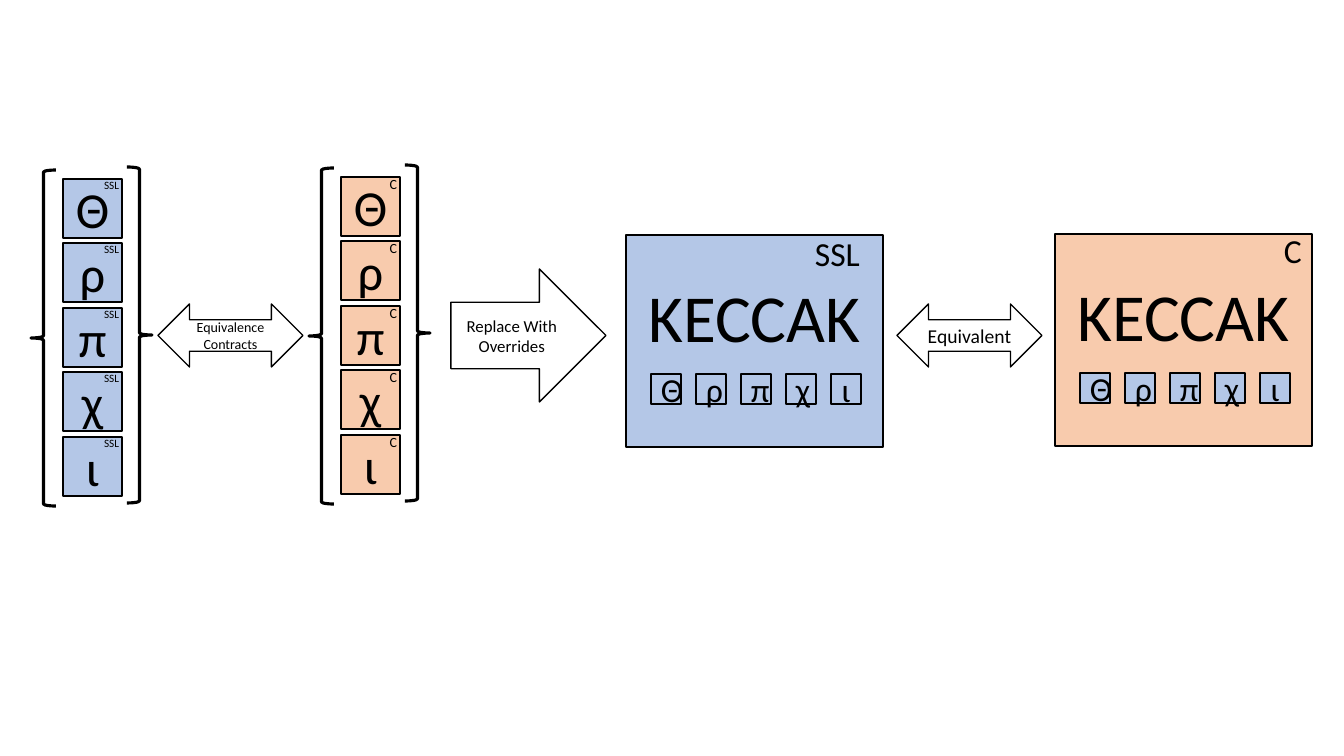
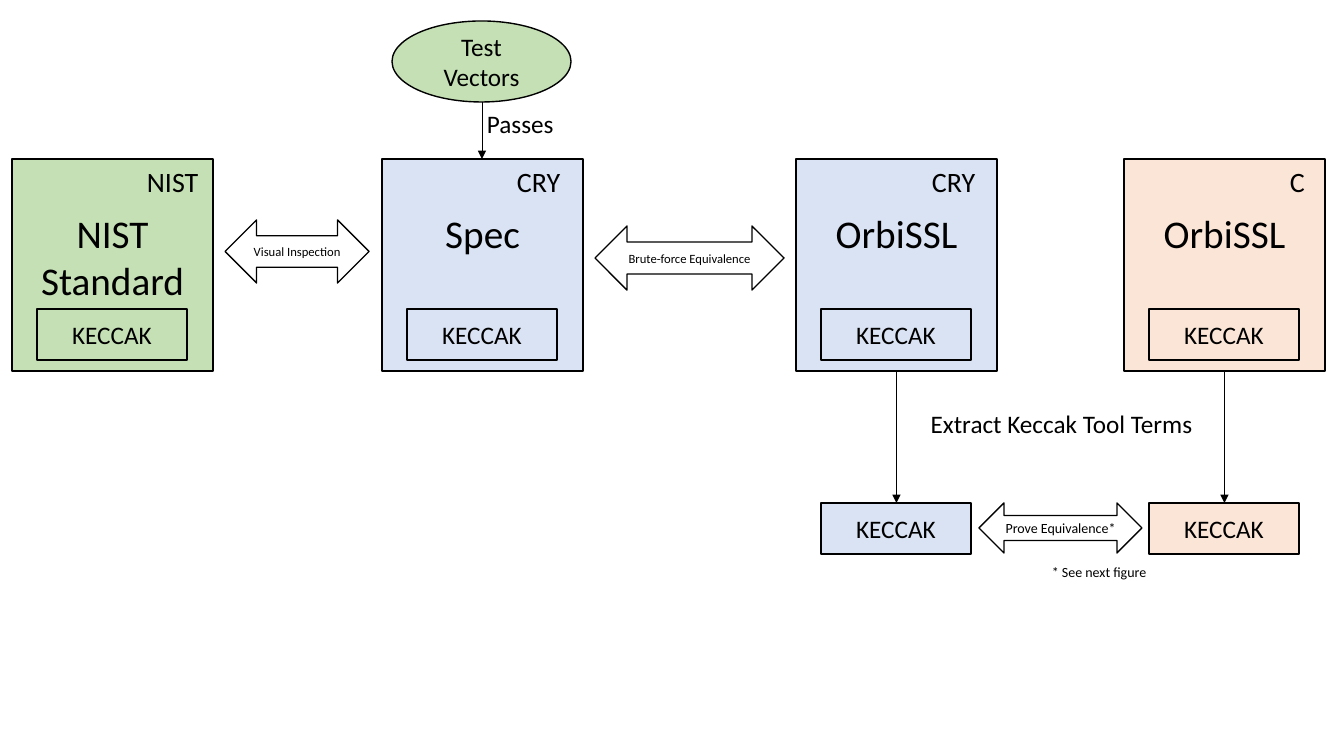
from dataclasses import dataclass

from lxml import etree
from pptx import Presentation
from pptx import util as u
from pptx.dml.color import RGBColor
from pptx.enum import shapes, text
from pptx.oxml import ns

GLYPHS = ["Θ", "ρ", "π", "χ", "ι"]

COLUMNS = [
    dict(left=63, top=179, fill="blue", tag="SSL", tag_size="tiny"),
    dict(left=341, top=177, fill="orange", tag="C", tag_size="small"),
]
KECCAK_CARDS = [
    dict(left=626, top=235, fill="blue", tag="SSL", tag_offset=(179, -7)),
    dict(left=1055, top=234, fill="orange", tag="C", tag_offset=(219, -9)),
]
OVERRIDE_ARROWS = [
    ("LEFT_RIGHT_ARROW", (158, 304, 145, 63), "Equivalence Contracts", "small"),
    ("RIGHT_ARROW", (451, 269, 155, 133), "Replace With Overrides", "note"),
    ("LEFT_RIGHT_ARROW", (897, 304, 145, 63), "Equivalent", "arrow"),
]

SYSTEM_CARDS = [
    dict(left=12, fill="green", name="NIST Standard", tag="NIST", tag_offset=125),
    dict(left=382, fill="pale_blue", name="Spec", tag="CRY", tag_offset=125),
    dict(left=796, fill="pale_blue", name="OrbiSSL", tag="CRY", tag_offset=126),
    dict(left=1124, fill="pale_orange", name="OrbiSSL", tag="C", tag_offset=156),
]
PROOF_ARROWS = [
    ("LEFT_RIGHT_ARROW", (225, 220, 144, 63), "Visual Inspection", "fine"),
    ("LEFT_RIGHT_ARROW", (595, 226, 189, 64), "Brute-force Equivalence", "fine"),
    ("LEFT_RIGHT_ARROW", (979, 503, 163, 50), "Prove Equivalence*", "small"),
]
PROOF_LABELS = [
    ("Passes", (477, 103, 119, 40), "body", dict(align="LEFT")),
    ("Extract Keccak Tool Terms", (917, 403, 289, 40), "body", dict(align="CENTER")),
    ("* See next figure", (1042, 543, 127, 58), "small", dict(anchor="MIDDLE")),
]


@dataclass(frozen=True)
class Theme:
    font: str
    colors: dict
    sizes: dict
    widths: dict


THEME = Theme(
    font="Calibri",
    colors=dict(
        ink="000000", white="FFFFFF", blue="B4C7E7", orange="F8CBAD",
        green="C5E0B4", pale_blue="DAE3F3", pale_orange="FBE5D6",
    ),
    sizes=dict(
        tiny=8, fine=9, small=10, note=12, arrow=14, body=18,
        tag=20, large_tag=24, name=28, glyph=36, headline=48,
    ),
    widths=dict(connector=0.5, outline=1, brace=2.25),
)

SLIDE_SIZE = (1344, 756)
EMU_PER_PIXEL = 914400 / 100.8

TILE = 59
COLUMN_SPAN = 258
BRACE_SIZE = (25, 336)
KECCAK_SIZE = (257, 212)
MINI_TILE = 30
MINI_PITCH = 45
SYSTEM_TOP = 159
SYSTEM_SIZE = (201, 212)
BOX_INSET = 25
BOX_SIZE = (150, 51)
TERM_TOP = 503


def px(value):
    return u.Emu(round(value * EMU_PER_PIXEL))


def rgb(name):
    return RGBColor.from_string(THEME.colors[name])


def apply(target, values):
    for name, value in values.items():
        setattr(target, name, value)


def write(shape, content, size, align="LEFT", anchor="TOP", inset_top=5):
    frame = shape.text_frame
    apply(frame, dict(
        text=content,
        word_wrap=True,
        vertical_anchor=text.MSO_ANCHOR[anchor],
        margin_top=px(inset_top),
    ))
    paragraph = frame.paragraphs[0]
    paragraph.alignment = text.PP_ALIGN[align]
    font = paragraph.runs[0].font
    apply(font, dict(name=THEME.font, size=u.Pt(THEME.sizes[size])))
    font.color.rgb = rgb("ink")


def add_label(slide, content, box, size, **layout):
    write(slide.shapes.add_textbox(*map(px, box)), content, size, **layout)


def add_figure(slide, kind, box, fill=None, width="outline"):
    shape = slide.shapes.add_shape(shapes.MSO_SHAPE[kind], *map(px, box))
    shape.shadow.inherit = False
    if fill:
        shape.fill.solid()
        shape.fill.fore_color.rgb = rgb(fill)
    else:
        shape.fill.background()
    shape.line.color.rgb = rgb("ink")
    shape.line.width = u.Pt(THEME.widths[width])
    return shape


def add_block(slide, kind, box, fill, content, size, **layout):
    layout = dict(align="CENTER", anchor="MIDDLE") | layout
    write(add_figure(slide, kind, box, fill), content, size, **layout)


def add_down_arrow(slide, x, top, bottom):
    connector = slide.shapes.add_connector(
        shapes.MSO_CONNECTOR.STRAIGHT, *map(px, (x, top, x, bottom)))
    connector.line.color.rgb = rgb("ink")
    connector.line.width = u.Pt(THEME.widths["connector"])
    properties = connector._element.spPr
    line = properties.find(ns.qn("a:ln"))
    etree.SubElement(line, ns.qn("a:tailEnd"), type="triangle")
    etree.SubElement(properties, ns.qn("a:effectLst"))


def add_arrows(slide, arrows):
    for kind, box, content, size in arrows:
        add_block(slide, kind, box, "white", content, size)


def add_glyph_column(slide, left, top, fill, tag, tag_size):
    for index, glyph in enumerate(GLYPHS):
        tile_top = top + index * COLUMN_SPAN // (len(GLYPHS) - 1)
        add_block(slide, "RECTANGLE", (left, tile_top, TILE, TILE), fill, glyph, "glyph")
        add_label(slide, tag, (left + 25, tile_top - 6, 41, 25), tag_size, align="RIGHT")
    for kind, offset_x, offset_y in (("LEFT_BRACE", -32, -9), ("RIGHT_BRACE", 64, -12)):
        box = (left + offset_x, top + offset_y, *BRACE_SIZE)
        add_figure(slide, kind, box, width="brace")


def add_keccak_card(slide, left, top, fill, tag, tag_offset):
    add_block(slide, "RECTANGLE", (left, top, *KECCAK_SIZE), fill, "KECCAK",
              "headline", anchor="TOP", inset_top=40)
    for index, glyph in enumerate(GLYPHS):
        box = (left + 25 + index * MINI_PITCH, top + 139, MINI_TILE, MINI_TILE)
        add_block(slide, "RECTANGLE", box, "blue", glyph, "large_tag")
    offset_x, offset_y = tag_offset
    add_label(slide, tag, (left + offset_x, top + offset_y, 85, 50), "large_tag")


def add_keccak_box(slide, card_left, top, fill):
    box = (card_left + BOX_INSET, top, *BOX_SIZE)
    add_block(slide, "RECTANGLE", box, fill, "KECCAK", "body")


def add_system_card(slide, left, fill, name, tag, tag_offset):
    add_block(slide, "RECTANGLE", (left, SYSTEM_TOP, *SYSTEM_SIZE), fill, name,
              "name", anchor="TOP", inset_top=50)
    add_label(slide, tag, (left + tag_offset, SYSTEM_TOP, 88, 44), "tag")
    add_keccak_box(slide, left, SYSTEM_TOP + 150, fill)


def build_overrides(slide):
    for column in COLUMNS:
        add_glyph_column(slide, **column)
    for card in KECCAK_CARDS:
        add_keccak_card(slide, **card)
    add_arrows(slide, OVERRIDE_ARROWS)


def build_proof(slide):
    for card in SYSTEM_CARDS:
        add_system_card(slide, **card)
    add_block(slide, "OVAL", (392, 21, 179, 81), "green", "Test Vectors", "body")
    add_down_arrow(slide, 482, 102, SYSTEM_TOP)
    for card in SYSTEM_CARDS[2:]:
        center = card["left"] + SYSTEM_SIZE[0] / 2
        add_keccak_box(slide, card["left"], TERM_TOP, card["fill"])
        add_down_arrow(slide, center, SYSTEM_TOP + SYSTEM_SIZE[1], TERM_TOP)
    add_arrows(slide, PROOF_ARROWS)
    for content, box, size, layout in PROOF_LABELS:
        add_label(slide, content, box, size, **layout)


presentation = Presentation()
presentation.slide_width, presentation.slide_height = map(px, SLIDE_SIZE)
blank_layout = presentation.slide_layouts[6]
for build in (build_overrides, build_proof):
    build(presentation.slides.add_slide(blank_layout))
presentation.save("out.pptx")
